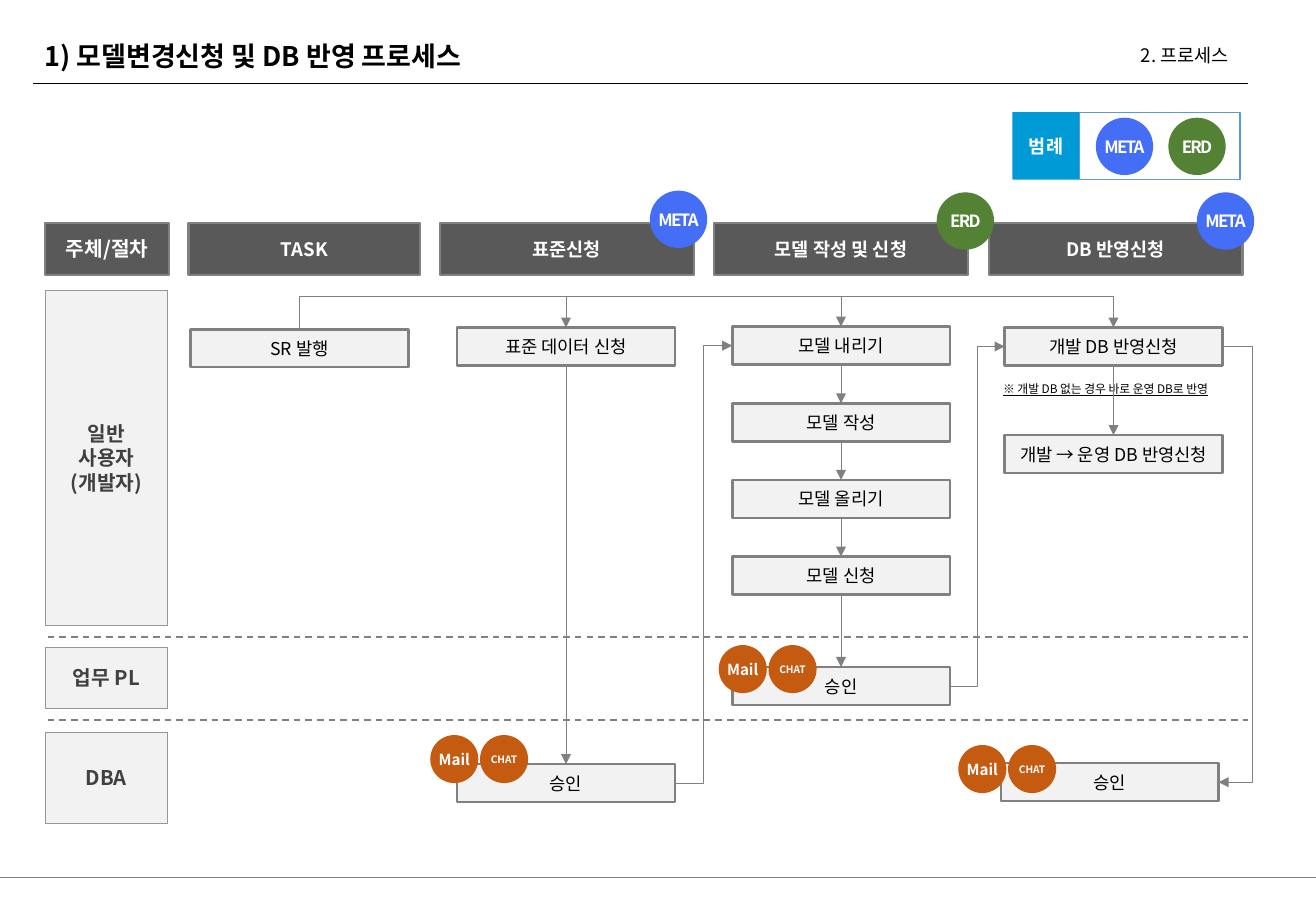
import dataclasses

import lxml.etree
import pptx
import pptx.dml.color
import pptx.enum.dml
import pptx.enum.shapes
import pptx.enum.text
import pptx.oxml.ns
import pptx.util

Pt = pptx.util.Pt
SHAPE = pptx.enum.shapes.MSO_SHAPE
CONNECTOR = pptx.enum.shapes.MSO_CONNECTOR
ALIGN = pptx.enum.text.PP_ALIGN
TOP, BOTTOM = 0, 2


@dataclasses.dataclass(frozen=True)
class Theme:
    """Colours, font and type sizes of the slide."""
    font: str = "Noto Sans CJK KR"
    black: str = "000000"
    white: str = "FFFFFF"
    header: str = "595959"
    line: str = "808080"
    panel: str = "F2F2F2"
    panel_line: str = "969696"
    lane_text: str = "404040"
    legend: str = "009BD7"
    legend_line: str = "5B9BD5"
    meta: str = "436EF5"
    modeler: str = "548235"
    notice: str = "C55A11"
    title_size: float = 16
    lane_size: float = 12
    header_size: float = 11
    step_size: float = 10.5
    badge_size: float = 10
    mail_size: float = 9
    note_size: float = 7
    chat_size: float = 6


THEME = Theme()
BADGES = {
    "META": (THEME.meta, 34, THEME.badge_size, -100),
    "ERD": (THEME.modeler, 34, THEME.badge_size, -100),
    "Mail": (THEME.notice, 28.5, THEME.mail_size, 0),
    "CHAT": (THEME.notice, 28.5, THEME.chat_size, 0),
}


def rgb(value):
    """Turn a hex string into a colour."""
    return pptx.dml.color.RGBColor.from_string(value)


def write(shape, text, size, color, bold=False, align=ALIGN.CENTER, spacing=0, underline=False):
    """Put formatted text into a shape."""
    shape.text_frame.text = text
    for paragraph in shape.text_frame.paragraphs:
        paragraph.alignment = align
        for run in paragraph.runs:
            run.font.size = Pt(size)
            run.font.bold = bold
            run.font.underline = underline
            run.font.color.rgb = rgb(color)
            run.font.name = THEME.font
            properties = run.font._element
            if spacing:
                properties.set("spc", str(spacing))
            east_asian = lxml.etree.SubElement(properties, pptx.oxml.ns.qn("a:ea"))
            east_asian.set("typeface", THEME.font)


def add_block(slide, box, fill=None, line=None, weight=1, kind=SHAPE.RECTANGLE, inset=7.2, wrap=True):
    """Draw a preset shape with its middle-anchored text frame."""
    shape = slide.shapes.add_shape(kind, *map(Pt, box))
    shape.shadow.inherit = False
    if fill:
        shape.fill.solid()
        shape.fill.fore_color.rgb = rgb(fill)
    else:
        shape.fill.background()
    if line:
        shape.line.color.rgb = rgb(line)
        shape.line.width = Pt(weight)
    else:
        shape.line.fill.background()
    frame = shape.text_frame
    frame.margin_left = frame.margin_right = Pt(inset)
    frame.margin_top = frame.margin_bottom = Pt(min(inset, 3.6))
    frame.vertical_anchor = pptx.enum.text.MSO_ANCHOR.MIDDLE
    frame.word_wrap = wrap
    return shape


def add_label(slide, box, text, size, **style):
    """Add a wrapping text box."""
    label = slide.shapes.add_textbox(*map(Pt, box))
    label.text_frame.word_wrap = True
    write(label, text, size, THEME.black, **style)
    return label


def add_badge(slide, left, top, name):
    """Draw a round badge for a tool or a notice."""
    color, size, type_size, spacing = BADGES[name]
    badge = add_block(slide, (left, top, size, size), color, kind=SHAPE.OVAL, inset=0)
    write(badge, name, type_size, THEME.white, bold=True, spacing=spacing)


def add_line(slide, begin, end, color=THEME.line, weight=0.5, kind=CONNECTOR.STRAIGHT, dashed=False, arrow=False):
    """Draw a connector without a shadow."""
    connector = slide.shapes.add_connector(kind, *map(Pt, begin + end))
    connector.line.color.rgb = rgb(color)
    connector.line.width = Pt(weight)
    if dashed:
        connector.line.dash_style = pptx.enum.dml.MSO_LINE.DASH
    properties = connector._element.spPr
    if arrow:
        outline = properties.find(pptx.oxml.ns.qn("a:ln"))
        lxml.etree.SubElement(outline, pptx.oxml.ns.qn("a:tailEnd")).set("type", "triangle")
    lxml.etree.SubElement(properties, pptx.oxml.ns.qn("a:effectLst"))
    return connector


def add_elbow(slide, begin, end, bend):
    """Draw a bent arrow whose middle leg lies at the offset ratio bend."""
    connector = add_line(slide, begin, end, kind=CONNECTOR.ELBOW, arrow=True)
    adjustments = connector._element.spPr.find(".//" + pptx.oxml.ns.qn("a:avLst"))
    guide = lxml.etree.SubElement(adjustments, pptx.oxml.ns.qn("a:gd"))
    guide.set("name", "adj1")
    guide.set("fmla", f"val {round(bend * 100000)}")
    return connector


def add_side_elbow(slide, begin, end, via):
    """Draw a bent arrow that runs sideways to via, then up or down."""
    add_elbow(slide, begin, end, (via - begin[0]) / (end[0] - begin[0]))


def add_rail_elbow(slide, begin, end, rail):
    """Draw a bent arrow that rises to the rail, runs right and drops."""
    drop, run = begin[1] - end[1], end[0] - begin[0]
    connector = add_elbow(slide, begin, end, (begin[1] - rail) / drop)
    connector.left = Pt((begin[0] + end[0] - drop) / 2)
    connector.top = Pt((begin[1] + end[1] - run) / 2)
    connector.width, connector.height = Pt(drop), Pt(run)
    transform = connector._element.spPr.find(pptx.oxml.ns.qn("a:xfrm"))
    for name, value in (("rot", "5400000"), ("flipH", "1"), ("flipV", "1")):
        transform.set(name, value)


def add_title(slide, box):
    """Place the title, the section name and the rule below."""
    left, top, width, height = box
    title = add_label(slide, (left, top, width, height), "1) 모델변경신청 및 DB 반영 프로세스",
                      THEME.title_size, bold=True, align=ALIGN.LEFT)
    title.text_frame.paragraphs[0].line_spacing = 0.9
    add_label(slide, (left + width - 124, top, 120, 21), "2. 프로세스", THEME.header_size, align=ALIGN.RIGHT)
    add_line(slide, (left, top + 27.2), (left + width, top + 27.2), THEME.black, 0.75)


def add_legend(slide, box):
    """Place the legend with its two tool badges."""
    left, top, width, height = box
    key = add_block(slide, (left, top, height, height), THEME.legend)
    write(key, "범례", THEME.header_size, THEME.white, bold=True)
    add_block(slide, (left + height, top, width - height, height), None, THEME.legend_line, 0.75)
    for index, name in enumerate(("META", "ERD")):
        add_badge(slide, left + 49.5 + 43 * index, top + 3.3, name)


def add_headers(slide, box):
    """Place the row of column headers and their badges."""
    left, top, _, height = box
    columns = (("주체/절차", 0, 73.5, THEME.lane_size), ("TASK", 85, 137.5, THEME.header_size),
               ("표준신청", 234, 150.5, THEME.header_size), ("모델 작성 및 신청", 396.5, 150.5, THEME.header_size),
               ("DB 반영신청", 559.3, 150.5, THEME.header_size))
    for text, offset, width, size in columns:
        header = add_block(slide, (left + offset, top, width, height), THEME.header, THEME.line, 1.25, inset=6.5)
        write(header, text, size, THEME.white, bold=True)
    for name, offset, rise in (("META", 358.5, 19), ("ERD", 528.5, 18), ("META", 682.7, 18)):
        add_badge(slide, left + offset, top - rise, name)


def add_lanes(slide, box):
    """Place the role names and the dashed lane borders."""
    left, top, width, _ = box
    for text, offset, height in (("일반 사용자\n(개발자)", 0, 198.5), ("업무 PL", 211.7, 36), ("DBA", 262, 54)):
        role = add_block(slide, (left, top + offset, 72.7, height), THEME.panel, THEME.panel_line, 0.25, inset=9)
        write(role, text, THEME.lane_size, THEME.lane_text, bold=True)
    for offset in (205.5, 255):
        add_line(slide, (left + 1.5, top + offset), (left + width, top + offset), weight=1, dashed=True)


def add_flow(slide, box):
    """Place the process steps, their arrows and the notice badges."""
    left, top, width, _ = box
    step_width, step_height = 129, 22.5
    issue, standard, model, database = 0, 158, 321, 482.5
    places = {
        "request": ("SR 발행", issue, 19.5),
        "standard": ("표준 데이터 신청", standard, 18.5),
        "standard_ok": ("승인", standard, 277.2),
        "model_0": ("모델 내리기", model, 18),
        "model_1": ("모델 작성", model, 63.4),
        "model_2": ("모델 올리기", model, 108.8),
        "model_3": ("모델 신청", model, 154.2),
        "model_ok": ("승인", model, 219.7),
        "database": ("개발 DB 반영신청", database, 18.5),
        "release": ("개발 → 운영 DB 반영신청", database, 82.2),
        "database_ok": ("승인", database - 2.2, 276.7),
    }
    steps = {}
    for name, (text, x, y) in places.items():
        steps[name] = add_block(slide, (left + x, top + y, step_width, step_height),
                                THEME.panel, THEME.line, 1.5, wrap=False)
        write(steps[name], text, THEME.step_size, THEME.black)

    note = add_label(slide, (left + 474.5, top + 45.5, 151.2, 28), "※ 개발 DB 없는 경우 바로 운영 DB로 반영",
                     THEME.note_size, align=ALIGN.LEFT, underline=True)
    note.text_frame.paragraphs[0].line_spacing = 1.2

    chain = ["model_0", "model_1", "model_2", "model_3", "model_ok"]
    for source, target in [("standard", "standard_ok"), ("database", "release"), *zip(chain, chain[1:])]:
        arrow = add_line(slide, (left, top), (left, top), arrow=True)
        arrow.begin_connect(steps[source], BOTTOM)
        arrow.end_connect(steps[target], TOP)

    def point(name, across, down):
        """Give the point at a fraction of a step's width and height."""
        _, x, y = places[name]
        return left + x + step_width * across, top + y + step_height * down

    for target in ("standard", "model_0", "database"):
        add_rail_elbow(slide, point("request", 0.5, 0), point(target, 0.5, 0), top)
    for source, target in (("standard_ok", "model_0"), ("model_ok", "database")):
        begin, end = point(source, 1, 0.5), point(target, 0, 0.5)
        add_side_elbow(slide, begin, end, (begin[0] + end[0]) / 2)
    add_side_elbow(slide, point("database", 1, 0.5), point("database_ok", 1, 0.5), left + width)

    for name, x, y in (("standard_ok", -16, -17.2), ("model_ok", -8, -13), ("database_ok", -25.3, -10.8)):
        corner = point(name, 0, 0)
        for index, badge in enumerate(("Mail", "CHAT")):
            add_badge(slide, corner[0] + x + 29.5 * index, corner[1] + y, badge)


def main():
    """Build and save the slide."""
    presentation = pptx.Presentation()
    presentation.slide_width, presentation.slide_height = Pt(780), Pt(540)
    slide = presentation.slides.add_slide(presentation.slide_layouts[6])
    add_line(slide, (0, 520), (780, 520))
    add_title(slide, (19.5, 22.3, 720, 29))
    add_legend(slide, (600, 66.5, 135, 40))
    add_headers(slide, (26.7, 132, 710, 31))
    add_lanes(slide, (26.7, 172, 712.8, 316))
    add_flow(slide, (113, 175.7, 629.5, 300))
    presentation.save("out.pptx")


if __name__ == "__main__":
    main()
